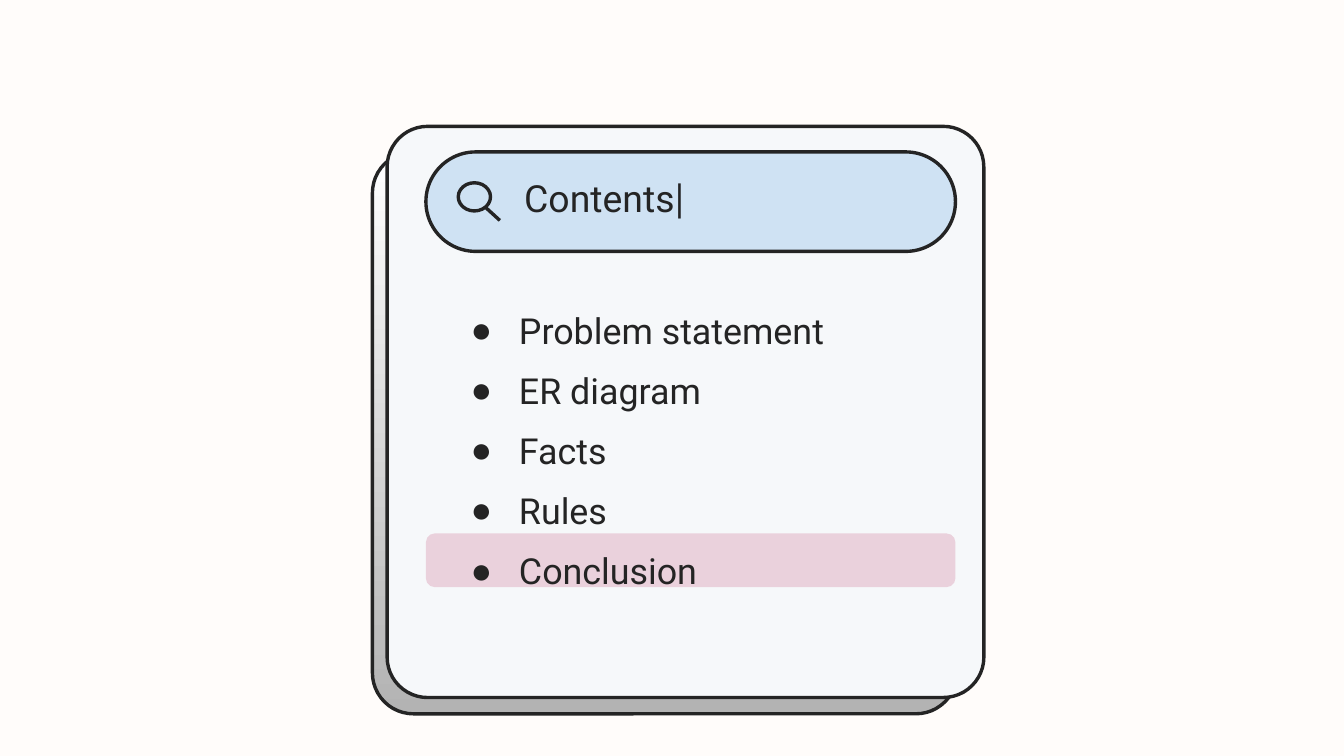
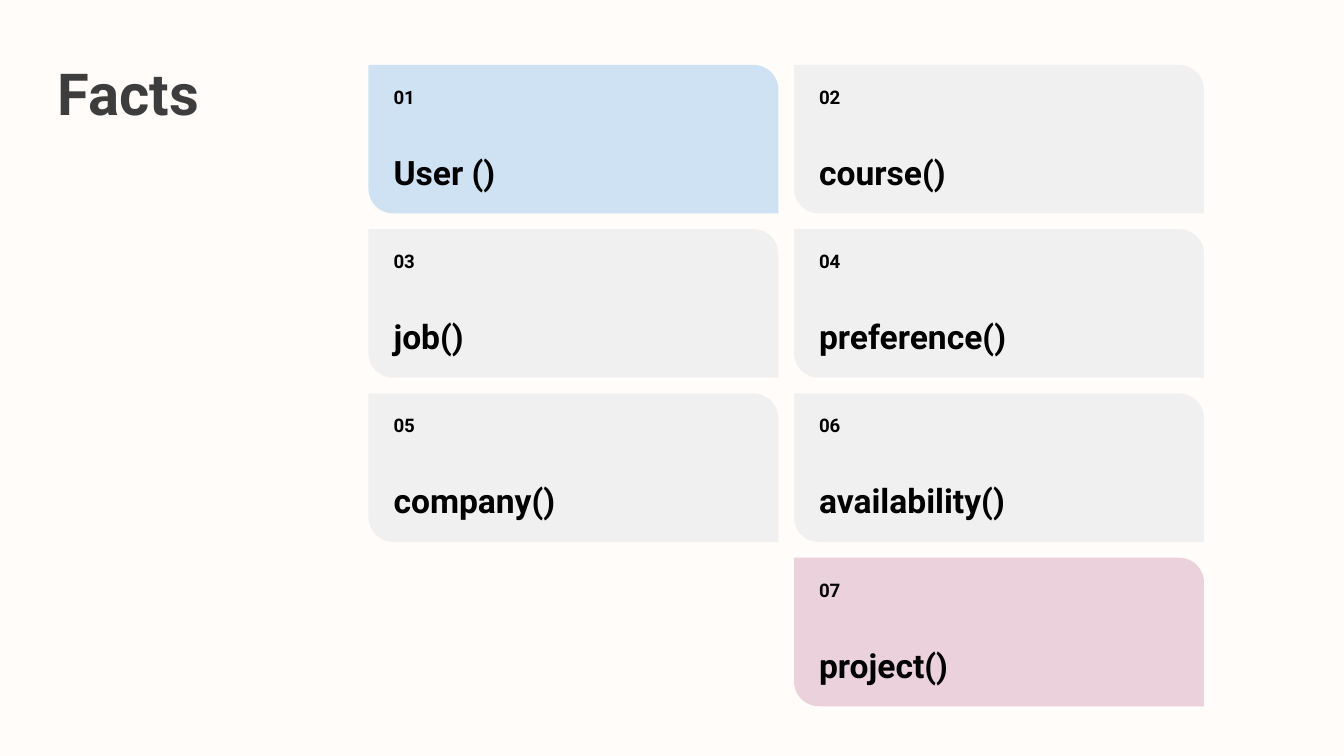
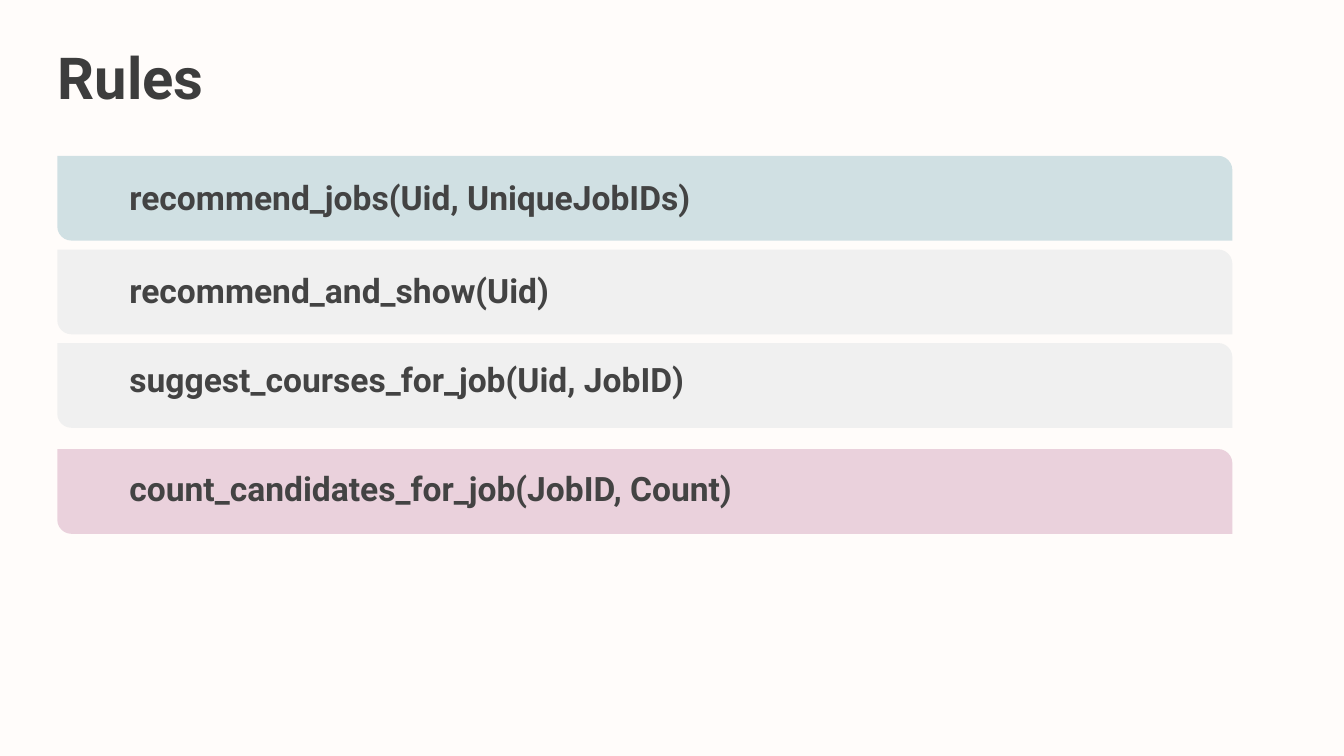
from dataclasses import dataclass

from lxml import etree
from pptx import Presentation
from pptx.dml.color import RGBColor
from pptx.enum import shapes, text
from pptx.oxml import ns
from pptx.util import Pt


@dataclass(frozen=True)
class Theme:
    paper: str = "FFFCFA"
    ink: str = "242424"
    heading: str = "3D3D3D"
    rule_ink: str = "434343"
    black: str = "000000"
    white: str = "FFFFFF"
    shade: str = "B3B3B3"
    panel: str = "F6F8FA"
    blue: str = "CFE2F3"
    teal: str = "D0E0E3"
    gray: str = "F0F0F0"
    pink: str = "EAD1DC"
    font: str = "Roboto"
    cursor_font: str = "Lato"
    heading_size: float = 31
    search_size: float = 20
    list_size: float = 19.2
    label_size: float = 18
    number_size: float = 10
    outline: float = 1.8


THEME = Theme()
SHAPE = shapes.MSO_SHAPE
ANCHOR = text.MSO_ANCHOR
TITLE_AND_BODY, TITLE_ONLY = 1, 5


def rgb(code):
    return RGBColor.from_string(code)


# Text
def add_run(paragraph, words, size, color, font=THEME.font, bold=False):
    run = paragraph.add_run()
    run.text = words
    run.font.name = font
    run.font.size = Pt(size)
    run.font.bold = bold
    run.font.color.rgb = rgb(color)


def add_bullet(paragraph, color, indent=27.4, hanging=25.9):
    properties = paragraph._p.get_or_add_pPr()
    properties.set("marL", str(Pt(indent)))
    properties.set("indent", str(-Pt(hanging)))
    bullet_color = etree.SubElement(properties, ns.qn("a:buClr"))
    etree.SubElement(bullet_color, ns.qn("a:srgbClr"), val=color)
    etree.SubElement(properties, ns.qn("a:buChar"), char="●")


def write_text(holder, lines, *, size, color, bold=False, spacing=0.9,
               anchor=ANCHOR.TOP, bullets=False):
    frame = holder.text_frame
    frame.word_wrap = True
    frame.auto_size = text.MSO_AUTO_SIZE.NONE
    frame.vertical_anchor = anchor
    frame.margin_left = frame.margin_right = 0
    frame.margin_top = frame.margin_bottom = 0
    for index, line in enumerate(lines):
        paragraph = frame.add_paragraph() if index else frame.paragraphs[0]
        paragraph.alignment = text.PP_ALIGN.LEFT
        paragraph.line_spacing = spacing
        paragraph.space_before = Pt(0)
        if bullets:
            add_bullet(paragraph, color)
        add_run(paragraph, line, size, color, bold=bold)


def add_label(slide, box, words, **style):
    label = slide.shapes.add_textbox(*map(Pt, box))
    write_text(label, [words], bold=True, **style)


def place(holder, box):
    """Move a placeholder to its box, in front of what is drawn so far."""
    holder.left, holder.top, holder.width, holder.height = map(Pt, box)
    holder.element.getparent().append(holder.element)
    return holder


def add_heading(slide, words, top):
    write_text(place(slide.shapes.title, (31, top, 138.2, 33.8)), [words],
               size=THEME.heading_size, color=THEME.heading, bold=True)


# Shapes
def add_block(slide, kind, box, fill=None, corners=(), outlined=False):
    block = slide.shapes.add_shape(kind, *map(Pt, box))
    block.shadow.inherit = False
    for index, corner in enumerate(corners):
        block.adjustments[index] = corner
    if fill:
        block.fill.solid()
        block.fill.fore_color.rgb = rgb(fill)
    else:
        block.fill.background()
    if outlined:
        block.line.color.rgb = rgb(THEME.ink)
        block.line.width = Pt(THEME.outline)
    else:
        block.line.fill.background()
    return block


def add_tile(slide, box, fill):
    add_block(slide, SHAPE.ROUND_2_DIAG_RECTANGLE, box, fill, (0, 0.167))


def shade_downward(block, start, end):
    block.fill.gradient()
    block.fill.gradient_angle = 270
    for stop, position, color in zip(block.fill.gradient_stops, (0, 1), (start, end)):
        stop.position = position
        stop.color.rgb = rgb(color)


def add_magnifier(slide):
    add_block(slide, SHAPE.OVAL, (245.5, 97.9, 17.3, 15.1), outlined=True)
    handle = slide.shapes.add_connector(
        shapes.MSO_CONNECTOR.STRAIGHT, *map(Pt, (259.9, 110.9, 267.8, 118.1)))
    handle.line.color.rgb = rgb(THEME.ink)
    handle.line.width = Pt(THEME.outline)
    etree.SubElement(handle.element.spPr, ns.qn("a:effectLst"))


# Slides
def build_contents(slide):
    rounded = SHAPE.ROUNDED_RECTANGLE
    back_card = add_block(slide, rounded, (199.5, 81.4, 313.2, 301),
                          corners=[0.073], outlined=True)
    shade_downward(back_card, THEME.white, THEME.shade)
    add_block(slide, rounded, (207.4, 67.7, 319.7, 306), THEME.panel, [0.071], True)

    # Search bar
    add_block(slide, rounded, (228.2, 81.4, 283.7, 53.3), THEME.blue, [0.5], True)
    query = place(slide.shapes.title, (280.8, 96.5, 208.8, 23))
    write_text(query, ["Contents"], size=THEME.search_size, color=THEME.ink,
               spacing=0.8, anchor=ANCHOR.MIDDLE)
    add_run(query.text_frame.paragraphs[0], "|", THEME.search_size, THEME.ink,
            font=THEME.cursor_font)
    add_magnifier(slide)

    # Topics, the last one highlighted
    add_block(slide, rounded, (228.2, 285.8, 283.7, 28.8), THEME.pink, [0.167])
    topics = place(slide.placeholders[1], (250.6, 156.2, 238.3, 180.7))
    write_text(topics,
               ["Problem statement", "ER diagram", "Facts", "Rules", "Conclusion"],
               size=THEME.list_size, color=THEME.ink, spacing=1.4, bullets=True)


def build_facts(slide):
    add_heading(slide, "Facts", 35.3)
    # (grid slot, fact, fill): two columns, the last fact in the right one
    facts = [
        (0, "User ()", THEME.blue),
        (1, "course()", THEME.gray),
        (2, "job()", THEME.gray),
        (3, "preference()", THEME.gray),
        (4, "company()", THEME.gray),
        (5, "availability()", THEME.gray),
        (7, "project()", THEME.pink),
    ]
    for number, (slot, fact, fill) in enumerate(facts, start=1):
        row, column = divmod(slot, 2)
        left, top = 197.4 + column * 228, 34.8 + row * 88
        add_tile(slide, (left, top, 219.6, 79.6), fill)
        add_label(slide, (left + 13.4, top + 32.4, 193.7, 36), fact,
                  size=THEME.label_size, color=THEME.black, anchor=ANCHOR.BOTTOM)
        add_label(slide, (left + 13.4, top + 9.3, 193.7, 12.2), f"{number:02}",
                  size=THEME.number_size, color=THEME.black, spacing=1.15)


def build_rules(slide):
    add_heading(slide, "Rules", 26.6)
    # (bar top, label top, rule, fill)
    rules = [
        (83.5, 96.5, "recommend_jobs(Uid, UniqueJobIDs)", THEME.teal),
        (133.7, 146.2, "recommend_and_show(Uid)", THEME.gray),
        (183.8, 193.7, "suggest_courses_for_job(Uid, JobID)", THEME.gray),
        (240.6, 252.2, "count_candidates_for_job(JobID, Count)", THEME.pink),
    ]
    for bar_top, label_top, rule, fill in rules:
        add_tile(slide, (30.7, bar_top, 629.5, 45.4), fill)
        add_label(slide, (69.3, label_top, 555.8, 20.2), rule,
                  size=THEME.label_size, color=THEME.rule_ink, anchor=ANCHOR.BOTTOM)


def main():
    deck = Presentation()
    deck.slide_width, deck.slide_height = Pt(720), Pt(405)
    paper = deck.slide_master.background.fill
    paper.solid()
    paper.fore_color.rgb = rgb(THEME.paper)
    for layout, build in ((TITLE_AND_BODY, build_contents),
                          (TITLE_ONLY, build_facts),
                          (TITLE_ONLY, build_rules)):
        build(deck.slides.add_slide(deck.slide_layouts[layout]))
    deck.save("out.pptx")


if __name__ == "__main__":
    main()
